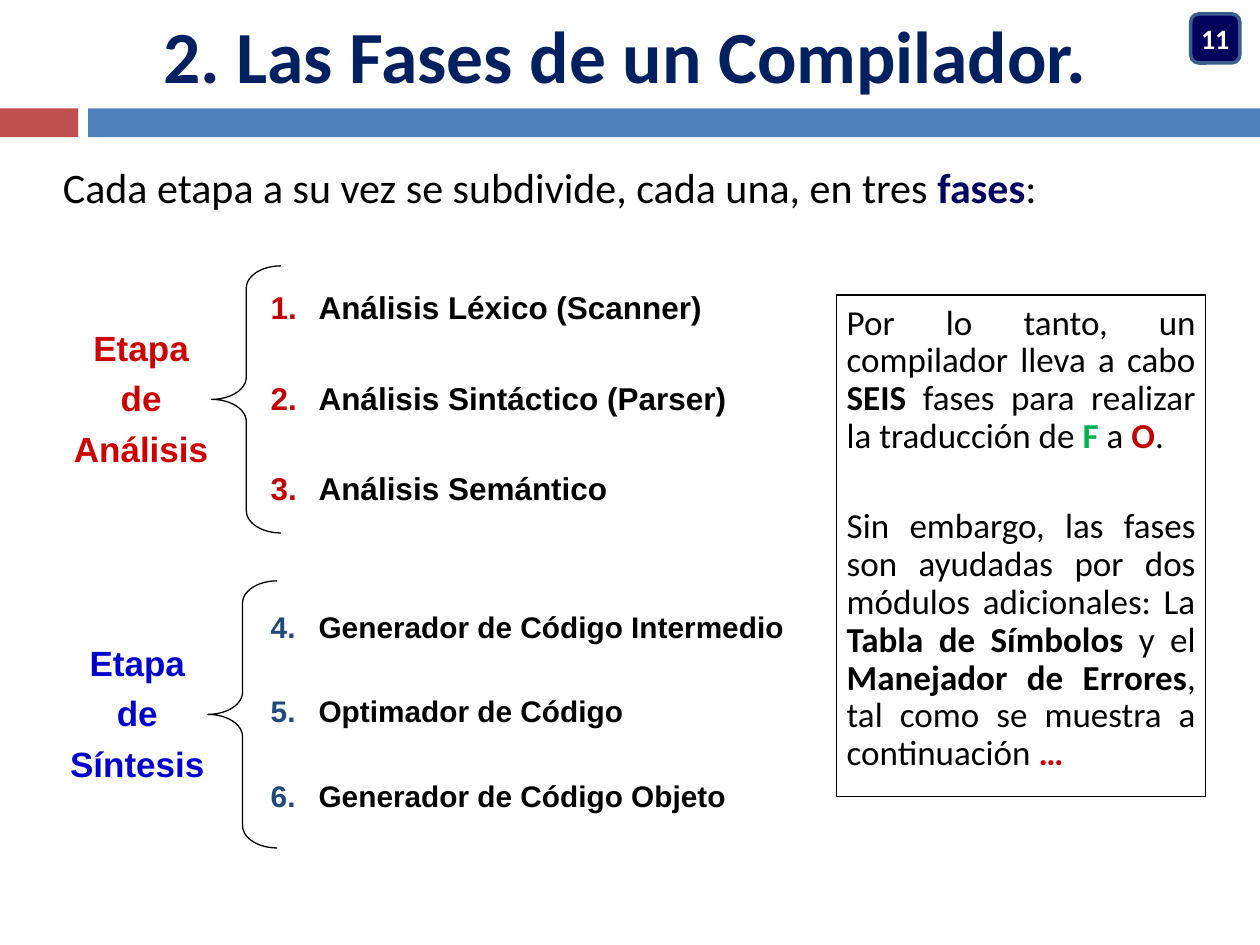
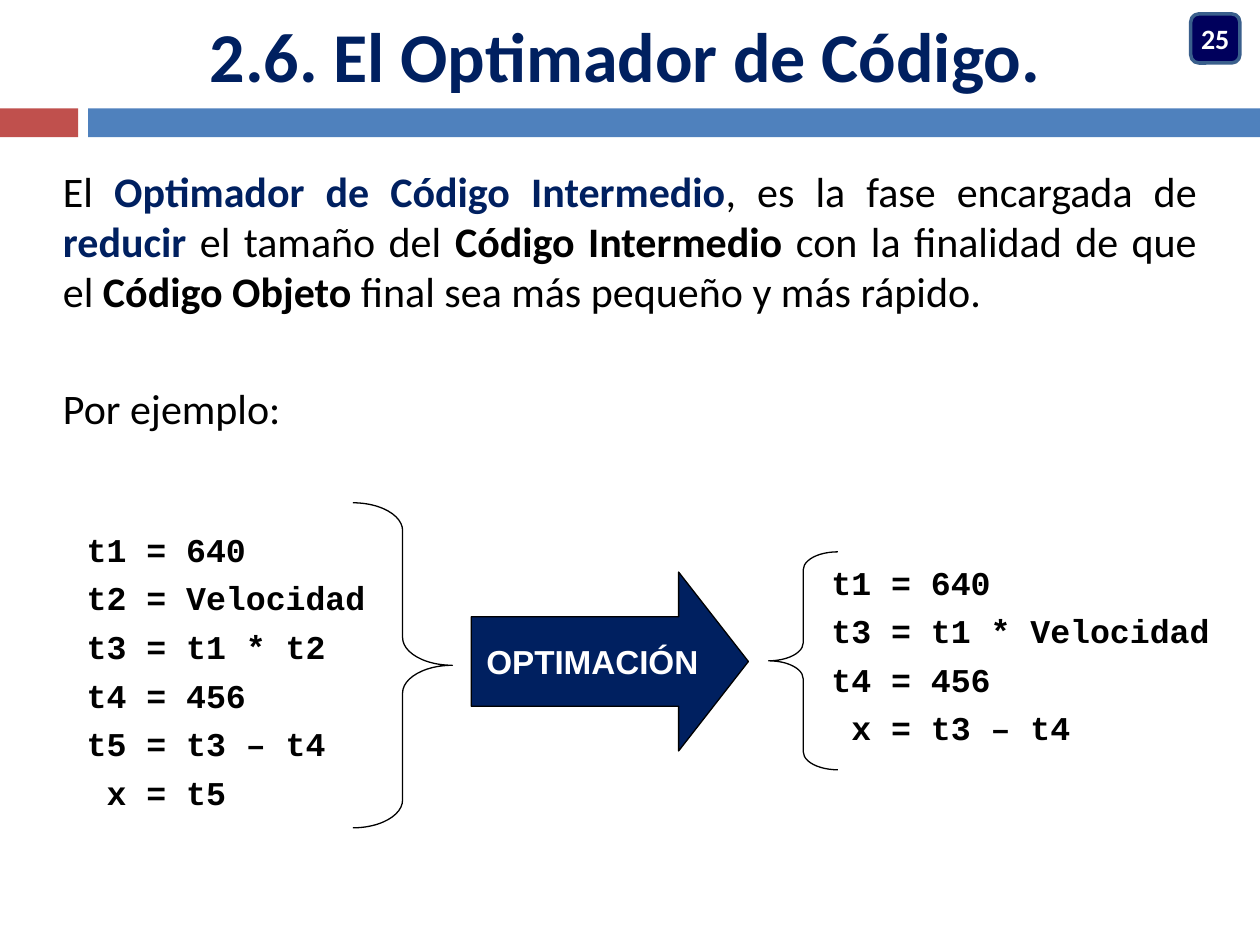
from lxml.etree import SubElement
from pptx import Presentation
from pptx.dml.color import RGBColor
from pptx.enum.shapes import MSO_SHAPE
from pptx.enum.text import MSO_ANCHOR, PP_ALIGN
from pptx.oxml.ns import qn
from pptx.util import Inches, Pt

COLUMNS, ROWS = 100, 75
SLIDE_WIDTH, SLIDE_HEIGHT = Inches(10), Inches(7.5)
BLACK, WHITE, NAVY = "000000", "FFFFFF", "002060"
RED, BLUE = "C0504D", "4F81BD"
BADGE_FILL, BADGE_LINE = "00005C", "3A5F8C"
DARK_RED, BRIGHT_RED, GREEN = "C00000", "CC0000", "00B050"
TEXT_INSET = (1, 0.5, 1, 0.5)
NO_INSET = (0, 0, 0, 0)


def color(value):
    """Turn a hex string into a colour."""
    return RGBColor.from_string(value)


def across(columns):
    """Turn grid columns into a length."""
    return round(SLIDE_WIDTH * columns / COLUMNS)


def down(rows):
    """Turn grid rows into a length."""
    return round(SLIDE_HEIGHT * rows / ROWS)


def area(left, top, width, height):
    """Turn a grid area into a position and size."""
    return across(left), down(top), across(width), down(height)


def add_numbering(paragraph, start, number_color):
    """Number a paragraph automatically with a hanging indent."""
    properties = paragraph._p.get_or_add_pPr()
    properties.set("marL", str(across(3.8)))
    properties.set("indent", str(-across(3.8)))
    bullet_color = SubElement(properties, qn("a:buClr"))
    SubElement(bullet_color, qn("a:srgbClr"), val=number_color)
    SubElement(properties, qn("a:buAutoNum"), type="arabicPeriod", startAt=str(start))


def write(shape, paragraphs, *, size, font="Calibri", ink=BLACK, bold=False,
          align=PP_ALIGN.LEFT, anchor=MSO_ANCHOR.TOP, inset=TEXT_INSET, wrap=True,
          gap=0, line_spacing=None, number_from=None, number_color=BLACK):
    """Fill a shape with paragraphs of runs; a (text, colour) run is bold."""
    frame = shape.text_frame
    frame.word_wrap = wrap
    frame.vertical_anchor = anchor
    frame.margin_left, frame.margin_right = across(inset[0]), across(inset[2])
    frame.margin_top, frame.margin_bottom = down(inset[1]), down(inset[3])
    for index, runs in enumerate(paragraphs):
        paragraph = frame.add_paragraph() if index else frame.paragraphs[0]
        if number_from:
            add_numbering(paragraph, number_from, number_color)
        paragraph.alignment = align
        if index:
            paragraph.space_before = Pt(gap)
        if line_spacing:
            paragraph.line_spacing = line_spacing
        for part in [runs] if isinstance(runs, str) else runs:
            plain = isinstance(part, str)
            run = paragraph.add_run()
            run.text = part if plain else part[0]
            run.font.name, run.font.size = font, Pt(size)
            run.font.bold = bold if plain else True
            run.font.color.rgb = color(ink if plain else part[1])


def add_text(slide, position, paragraphs, **text_format):
    """Add a text box."""
    write(slide.shapes.add_textbox(*area(*position)), paragraphs, **text_format)


def add_figure(slide, kind, position, fill=None, line=None, line_width=0.75, adjustments=()):
    """Add a preset shape without a shadow."""
    shape = slide.shapes.add_shape(kind, *area(*position))
    shape.shadow.inherit = False
    for index, value in enumerate(adjustments):
        shape.adjustments[index] = value
    if fill:
        shape.fill.solid()
        shape.fill.fore_color.rgb = color(fill)
    else:
        shape.fill.background()
    if line:
        shape.line.color.rgb = color(line)
        shape.line.width = Pt(line_width)
    else:
        shape.line.fill.background()
    return shape


def add_brace(slide, kind, position, curve):
    """Add a thin black brace."""
    add_figure(slide, kind, position, line=BLACK, adjustments=(curve, 0.5))


def add_titled_slide(presentation, title, number, title_size):
    """Add a slide with its title, the two bands and the number badge."""
    slide = presentation.slides.add_slide(presentation.slide_layouts[5])
    add_figure(slide, MSO_SHAPE.RECTANGLE, (0, 8.6, 6.2, 2.3), fill=RED)
    add_figure(slide, MSO_SHAPE.RECTANGLE, (7, 8.6, 93, 2.3), fill=BLUE)
    heading = slide.shapes.title
    heading.left, heading.top, heading.width, heading.height = area(0, 0, 99.2, 8.6)
    write(heading, [title], size=title_size, ink=NAVY, bold=True, align=PP_ALIGN.CENTER,
          anchor=MSO_ANCHOR.MIDDLE, inset=NO_INSET)
    badge = add_figure(slide, MSO_SHAPE.ROUNDED_RECTANGLE, (94.5, 1.1, 3.9, 3.9),
                       fill=BADGE_FILL, line=BADGE_LINE, line_width=2)
    write(badge, [str(number)], size=16, ink=WHITE, bold=True, align=PP_ALIGN.CENTER,
          anchor=MSO_ANCHOR.MIDDLE, inset=(0, 0.5, 0, 0.5))
    return slide


def add_stage(slide, left, top, name, ink, phases, phases_top, **list_format):
    """Add a compiler stage: its name, a brace and its numbered phases."""
    add_brace(slide, MSO_SHAPE.LEFT_BRACE, (left, top, 5.5, 21.2), 0.32)
    add_text(slide, (left - 12.7, top + 4.3, 14.2, 12.3), ["Etapa", "de", name],
             size=20, font="Arial", ink=ink, bold=True, align=PP_ALIGN.CENTER, gap=4.8)
    add_text(slide, (20.5, phases_top, 46.5, 18), phases,
             font="Arial", bold=True, **list_format)


def add_code(slide, position, lines):
    """Add lines of intermediate code."""
    add_text(slide, position, lines, size=19, font="Courier New", bold=True, gap=5)


def add_phases_slide(presentation):
    """Build the slide on the six phases of a compiler."""
    slide = add_titled_slide(presentation, "2. Las Fases de un Compilador.", 11, 42)
    add_text(slide, (5, 13.3, 90, 6.3),
             [["Cada etapa a su vez se subdivide, cada una, en tres ", ("fases", "000060"), ":"]],
             size=24, inset=NO_INSET, line_spacing=0.9)
    add_stage(slide, 16.8, 21.1, "Análisis", BRIGHT_RED,
              ["Análisis Léxico (Scanner)", "Análisis Sintáctico (Parser)", "Análisis Semántico"],
              22.4, size=18, gap=30, number_from=1, number_color=DARK_RED)
    add_stage(slide, 16.5, 46.1, "Síntesis", "0000CC",
              ["Generador de Código Intermedio", "Optimador de Código",
               "Generador de Código Objeto"],
              47.8, size=17, gap=28, number_from=4, number_color="1F497D")
    panel = add_figure(slide, MSO_SHAPE.RECTANGLE, (66.4, 23.4, 29.3, 39.8), line=BLACK)
    write(panel, [
        ["Por lo tanto, un compilador lleva a cabo ", ("SEIS", BLACK),
         " fases para realizar la traducción de ", ("F", GREEN), " a ", ("O", DARK_RED), "."],
        ["Sin embargo, las fases son ayudadas por dos módulos adicionales: La",
         (" Tabla de Símbolos", BLACK), " y el ", ("Manejador de Errores", BLACK),
         ", tal como se muestra a continuación ", ("…", BRIGHT_RED)],
    ], size=20, align=PP_ALIGN.JUSTIFY, inset=(0.8, 0.8, 0.8, 0.8), gap=30, line_spacing=0.9)


def add_optimizer_slide(presentation):
    """Build the slide on the code optimizer."""
    slide = add_titled_slide(presentation, "2.6. El Optimador de Código.", 25, 40)
    add_text(slide, (5, 13.1, 90, 22), [
        ["El ", ("Optimador de Código Intermedio", NAVY), ", es la fase encargada de ",
         ("reducir", NAVY), " el tamaño del ", ("Código Intermedio", BLACK),
         " con la finalidad de que el ", ("Código Objeto", BLACK),
         " final sea más pequeño y más rápido."],
        "Por ejemplo:",
    ], size=24, align=PP_ALIGN.JUSTIFY, inset=NO_INSET, gap=38)
    add_code(slide, (5.9, 41.5, 25.3, 24.3),
             ["t1 = 640", "t2 = Velocidad", "t3 = t1 * t2", "t4 = 456", "t5 = t3 – t4", " x = t5"])
    add_brace(slide, MSO_SHAPE.RIGHT_BRACE, (28, 39.9, 7.9, 25.8), 0.28)
    add_code(slide, (65, 44.1, 33.5, 16.3),
             ["t1 = 640", "t3 = t1 * Velocidad", "t4 = 456", " x = t3 – t4"])
    add_brace(slide, MSO_SHAPE.LEFT_BRACE, (61, 43.8, 5.5, 17.3), 0.26)
    arrow = add_figure(slide, MSO_SHAPE.RIGHT_ARROW, (37.4, 45.4, 22, 14.2),
                       fill=NAVY, line=BLACK, adjustments=(0.5, 0.39))
    write(arrow, ["OPTIMACIÓN"], size=19, font="Arial", ink=WHITE, bold=True,
          align=PP_ALIGN.CENTER, anchor=MSO_ANCHOR.MIDDLE, wrap=False)


def main():
    """Build and save the presentation."""
    presentation = Presentation()
    presentation.slide_width, presentation.slide_height = SLIDE_WIDTH, SLIDE_HEIGHT
    add_phases_slide(presentation)
    add_optimizer_slide(presentation)
    presentation.save("out.pptx")


if __name__ == "__main__":
    main()
